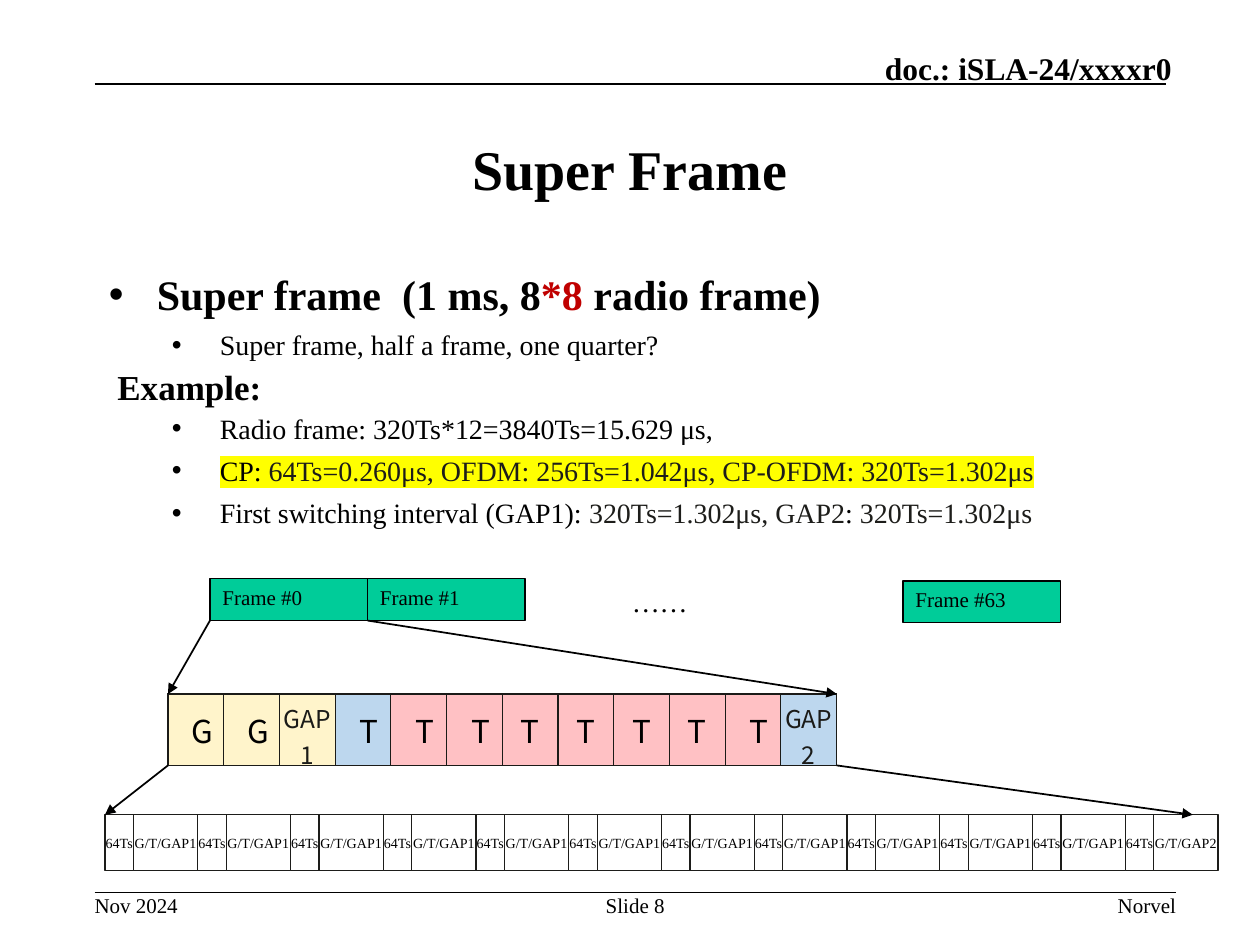
from lxml.etree import SubElement
from pptx import Presentation
from pptx.dml.color import RGBColor
from pptx.enum.shapes import MSO_CONNECTOR as Link, MSO_SHAPE as Form
from pptx.enum.text import MSO_ANCHOR as Anchor, PP_ALIGN as Align
from pptx.oxml.ns import qn
from pptx.util import Inches, Pt

COLS, ROWS = 120, 90
UNIT = Inches(10) / COLS
SERIF, SANS = "Times New Roman", "Noto Sans CJK SC"
BLACK = RGBColor(0x00, 0x00, 0x00)
WHITE = RGBColor(0xFF, 0xFF, 0xFF)
INK = RGBColor(0x1D, 0x1D, 0x1A)
EDGE = RGBColor(0x1B, 0x1B, 0x18)
RED = RGBColor(0xC0, 0x00, 0x00)
GREEN = RGBColor(0x00, 0xCC, 0x99)
CREAM = RGBColor(0xFF, 0xF4, 0xCB)
BLUE = RGBColor(0xBD, 0xD7, 0xEE)
PINK = RGBColor(0xFF, 0xC1, 0xC4)
YELLOW = RGBColor(0xFF, 0xFF, 0x00)

POINTS = [
    (0, 6, [("Super frame  (1 ms, 8", BLACK), ("*8", RED), (" radio frame)", BLACK)], None),
    (1, 5, [("Super frame, half a frame, one quarter?", BLACK)], None),
    (1, 28.4, [("Radio frame: 320Ts*12=3840Ts=15.629 μs,", BLACK)], None),
    (1, 5, [("CP: ", BLACK),
            ("64Ts=0.260μs, OFDM: 256Ts=1.042μs, CP-OFDM: 320Ts=1.302μs", INK)], YELLOW),
    (1, 5, [("First switching interval (GAP1): ", BLACK), ("320Ts=1.302μs, GAP2", INK),
            (": ", BLACK), ("320Ts=1.302μs", INK)], None),
]
SLOTS = ([("G", CREAM, 0.1, 0)] * 2 + [("GAP1", CREAM, 0, 0), ("T", BLUE, 0.1, 0)]
         + [("T", PINK, 0.1, 0)] * 2 + [("T", PINK, 0.1, 0.1)]
         + [("T", PINK, 0, 0)] * 3 + [("T", PINK, 0.1, 0), ("GAP2", BLUE, 0, 0)])


def grid(*spans):
    """Turn grid columns and rows into lengths."""
    return [round(span * UNIT) for span in spans]


def style(par, size, color=BLACK, bold=False, align=Align.LEFT, name=SERIF):
    """Set the font and alignment of a paragraph."""
    font = par.font
    font.name, font.size, font.bold = name, Pt(size), bold
    font.color.rgb = color
    par.alignment = align


def inset(item, left, top, right, bottom):
    """Set the four text margins of a frame or cell, in inches."""
    item.margin_left, item.margin_top = Inches(left), Inches(top)
    item.margin_right, item.margin_bottom = Inches(right), Inches(bottom)


def label(slide, box, words, size, bold=False, align=Align.LEFT, pad=True, anchor=Anchor.TOP):
    """Add a one-line text box."""
    frame = slide.shapes.add_textbox(*grid(*box)).text_frame
    frame.word_wrap, frame.vertical_anchor = True, anchor
    if not pad:
        inset(frame, 0, 0, 0, 0)
    frame.text = words
    style(frame.paragraphs[0], size, bold=bold, align=align)


def block(shapes, box, words, size, fill, line, width):
    """Add a filled rectangle with a label at its top left."""
    shape = shapes.add_shape(Form.RECTANGLE, *grid(*box))
    shape.shadow.inherit = False
    shape.fill.solid()
    shape.fill.fore_color.rgb = fill
    shape.line.color.rgb, shape.line.width = line, Pt(width)
    frame = shape.text_frame
    frame.text, frame.vertical_anchor = words, Anchor.TOP
    style(frame.paragraphs[0], size)
    return frame


def rule(slide, ends, arrow=False):
    """Add a thin black line, with an arrowhead on request."""
    line = slide.shapes.add_connector(Link.STRAIGHT, *grid(*ends))
    line.line.color.rgb, line.line.width = BLACK, Pt(1)
    props = line.element.spPr
    if arrow:
        SubElement(props.find(qn("a:ln")), qn("a:tailEnd"), type="triangle")
    SubElement(props, qn("a:effectLst"))


def bullet(par, level, gap):
    """Give a paragraph a hanging black bullet."""
    par.space_before = Pt(gap)
    props = par._p.get_or_add_pPr()
    props.set("marL", str(Inches(0.38 + level / 2)))
    props.set("indent", str(-Inches(0.38)))
    tint = SubElement(props, qn("a:buClr"))
    SubElement(tint, qn("a:srgbClr"), val=str(BLACK))
    SubElement(props, qn("a:buFont"), typeface="Arial")
    SubElement(props, qn("a:buChar"), char="•")
    par.level = level


def points(slide, box):
    """Add the bulleted list."""
    frame = slide.shapes.add_textbox(*grid(*box)).text_frame
    frame.word_wrap = True
    for i, (level, gap, runs, mark) in enumerate(POINTS):
        par = frame.add_paragraph() if i else frame.paragraphs[0]
        bullet(par, level, gap)
        style(par, 16 if level else 24, bold=not level)
        for words, color in runs:
            run = par.add_run()
            run.text, run.font.color.rgb = words, color
            if mark:
                glow = SubElement(run.font._element, qn("a:highlight"))
                SubElement(glow, qn("a:srgbClr"), val=str(mark))


def border(cell):
    """Draw thin borders on all sides of a cell."""
    props = cell._tc.get_or_add_tcPr()
    for side in ("lnL", "lnR", "lnT", "lnB"):
        line = SubElement(props, qn("a:" + side), w=str(Pt(0.75)))
        paint = SubElement(line, qn("a:solidFill"))
        SubElement(paint, qn("a:srgbClr"), val=str(EDGE))


def slots(slide, box):
    """Add the one-row table of slots in a radio frame."""
    shape = slide.shapes.add_table(1, len(SLOTS), *grid(*box))
    table = shape.table
    table.first_row = table.horz_banding = False
    table.rows[0].height = Inches(0.41)
    shape.height = grid(box[3])[0]
    for cell, (words, fill, left, right) in zip(table.rows[0].cells, SLOTS):
        border(cell)
        cell.fill.solid()
        cell.fill.fore_color.rgb = fill
        cell.vertical_anchor = Anchor.MIDDLE
        inset(cell, left, 0.05, right, 0.05)
        cell.text = words
        size, color = (18, BLACK) if len(words) == 1 else (14, EDGE)
        style(cell.text_frame.paragraphs[0], size, color, align=Align.CENTER, name=SANS)


def symbols(slide, left, top, width, height, count=12):
    """Add the group of prefix and symbol pairs."""
    shapes = slide.shapes.add_group_shape().shapes
    pitch, thin = width / count, 2.72
    for i in range(count):
        start = left + i * pitch
        name = "G/T/GAP1" if i < count - 1 else "G/T/GAP2"
        for x, wide, words in ((start, thin, "64Ts"), (start + thin, pitch - thin, name)):
            frame = block(shapes, (x, top, wide, height), words, 8, WHITE, INK, 0.75)
            inset(frame, 0, 0, 0, 0)
            frame.word_wrap, frame.vertical_anchor = False, Anchor.MIDDLE
            frame.paragraphs[0].alignment = Align.CENTER


def heading(slide, box, words):
    """Place and format the title."""
    title = slide.shapes.title
    title.left, title.top, title.width, title.height = grid(*box)
    title.text_frame.text = words
    title.text_frame.vertical_anchor = Anchor.MIDDLE
    style(title.text_frame.paragraphs[0], 32, bold=True, align=Align.CENTER)


def main():
    """Build and save the slide."""
    deck = Presentation()
    deck.slide_width, deck.slide_height = grid(COLS, ROWS)
    slide = deck.slides.add_slide(deck.slide_layouts[5])
    rule(slide, (9, 8, 111, 8))
    rule(slide, (9, 85, 112, 85))
    label(slide, (65.6, 4.7, 46, 3.6), "doc.: iSLA-24/xxxxr0", 18, True, Align.RIGHT,
          False, Anchor.BOTTOM)
    for left, width, words, align in ((9, 8, "Nov 2024", Align.LEFT),
                                      (57, 7, "Slide 8", Align.CENTER),
                                      (90, 22, "Norvel", Align.RIGHT)):
        label(slide, (left, 85, width, 2.5), words, 12, align=align, pad=False)
    heading(slide, (9, 9, 102, 14), "Super Frame")
    points(slide, (9.2, 25, 102, 54))
    label(slide, (10, 34.2, 18, 5.2), "Example:", 20, True)
    for left, top, number in ((20, 55.1, 0), (35, 55.1, 1), (86, 55.3, 63)):
        block(slide.shapes, (left, top, 15, 4), f"Frame #{number}", 12, GREEN, BLACK, 1)
    label(slide, (59, 55.1, 19, 4.4), "……", 16)
    slots(slide, (16, 66.1, 63.7, 6.8))
    symbols(slide, 10, 77.6, 106, 5.3)
    for ends in ((20, 59.1, 16, 66.1), (35, 59.1, 79.7, 66.1),
                 (16, 72.9, 10, 77.6), (79.7, 72.9, 113.6, 77.6)):
        rule(slide, ends, True)
    deck.save("out.pptx")


if __name__ == "__main__":
    main()
